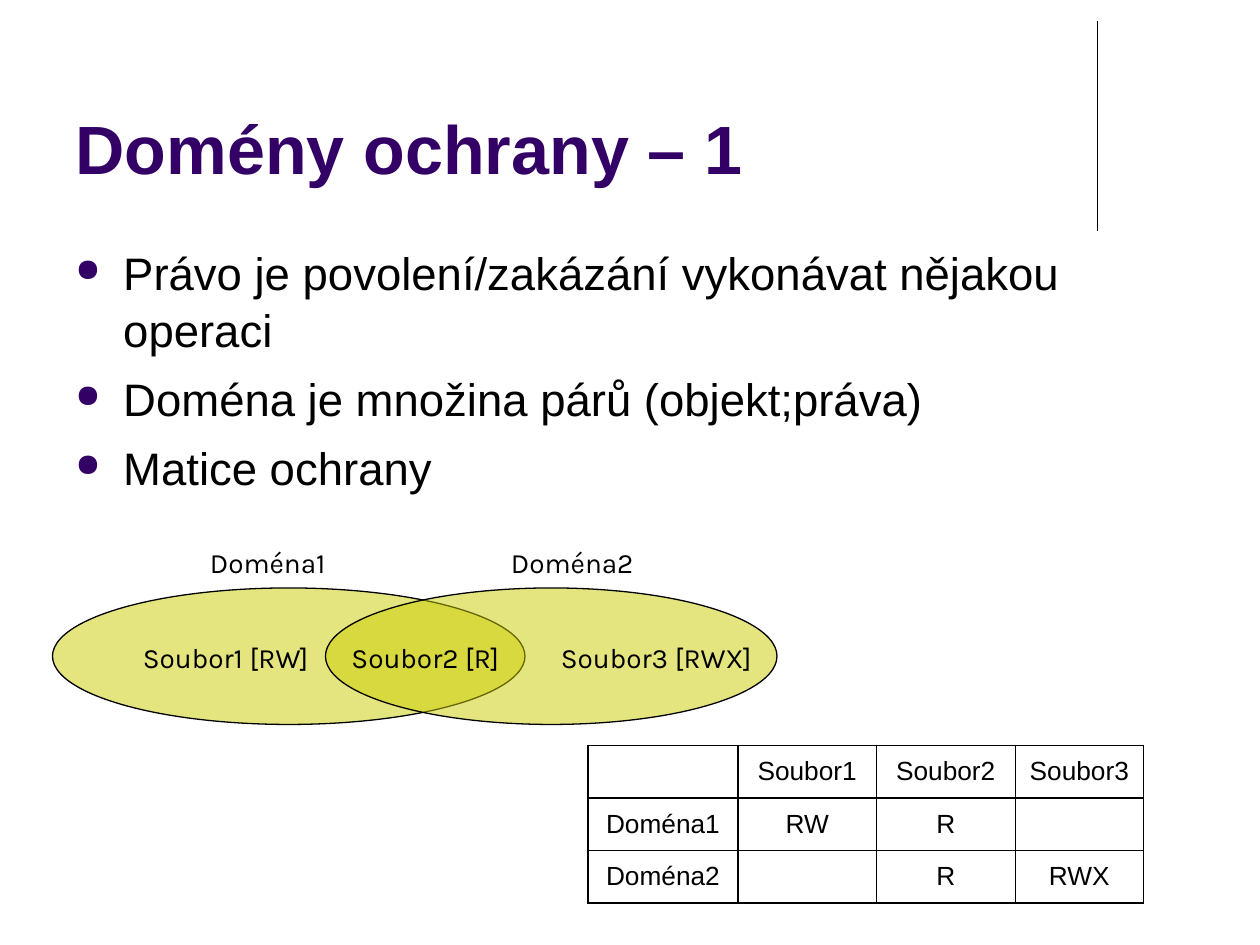
import pptx
import pptx.dml.color
import pptx.enum.shapes
import pptx.enum.text
import pptx.oxml
import pptx.oxml.ns
import pptx.util

COLORS = {"ink": "000000", "title": "330066", "domain": "CCCC00"}
COLUMNS, ROWS = 120, 90
ALIGN = pptx.enum.text.PP_ALIGN
ANCHOR = pptx.enum.text.MSO_ANCHOR
NS = pptx.oxml.ns.nsdecls("a")


def xml(text):
    return pptx.oxml.parse_xml(text)


def rgb(name):
    return pptx.dml.color.RGBColor.from_string(COLORS[name])


class ProtectionSlide:
    """Places elements on a grid of 120 columns by 90 rows."""

    def __init__(self, deck):
        self.column = deck.slide_width / COLUMNS
        self.row = deck.slide_height / ROWS
        self.slide = deck.slides.add_slide(deck.slide_layouts[5])
        self.shapes = self.slide.shapes

    def area(self, left, top, width, height):
        return (round(left * self.column), round(top * self.row),
                round(width * self.column), round(height * self.row))

    def add_span(self, para, text, size, font="Arial", color="ink", bold=False):
        span = para.add_run()
        span.text = text
        span.font.name = font
        span.font.size = pptx.util.Pt(size)
        span.font.bold = bold
        span.font.color.rgb = rgb(color)

    def title(self, text, *grid):
        box = self.shapes.title
        box.left, box.top, box.width, box.height = self.area(*grid)
        frame = box.text_frame
        frame.auto_size = pptx.enum.text.MSO_AUTO_SIZE.NONE
        frame.vertical_anchor = ANCHOR.BOTTOM
        para = frame.paragraphs[0]
        para.alignment = ALIGN.LEFT
        self.add_span(para, text, 39, color="title", bold=True)

    def bullets(self, items, *grid):
        frame = self.shapes.add_textbox(*self.area(*grid)).text_frame
        frame.word_wrap = True
        for index, item in enumerate(items):
            para = frame.add_paragraph() if index else frame.paragraphs[0]
            para.space_before = pptx.util.Pt(6.5)
            para.line_spacing = 1.05
            indent = pptx.util.Inches(0.38)
            properties = para._p.get_or_add_pPr()
            properties.set("marL", str(indent))
            properties.set("indent", str(-indent))
            for mark in (f'<a:buClr {NS}><a:srgbClr val="{COLORS["title"]}"/></a:buClr>',
                         f'<a:buSzPct {NS} val="70000"/>',
                         f'<a:buChar {NS} char="●"/>'):
                properties.append(xml(mark))
            self.add_span(para, item, 26)

    def domain(self, *grid):
        """Draws a half-transparent ellipse."""
        oval = self.shapes.add_shape(
            pptx.enum.shapes.MSO_SHAPE.OVAL, *self.area(*grid))
        oval.shadow.inherit = False
        oval.fill.solid()
        oval.fill.fore_color.rgb = rgb("domain")
        color = oval._element.spPr.find(".//" + pptx.oxml.ns.qn("a:srgbClr"))
        color.append(xml(f'<a:alpha {NS} val="50000"/>'))
        oval.line.color.rgb = rgb("ink")
        oval.line.width = pptx.util.Pt(0.75)

    def label(self, text, left, top, width):
        box = self.shapes.add_textbox(*self.area(left, top, width, 3.2))
        frame = box.text_frame
        frame.word_wrap = True
        frame.margin_left = frame.margin_right = 0
        frame.margin_top = frame.margin_bottom = 0
        para = frame.paragraphs[0]
        para.alignment = ALIGN.CENTER
        para.space_before = pptx.util.Pt(10)
        self.add_span(para, text, 16, font="Karla")

    def border(self, cell, side, thick):
        width = pptx.util.Pt(1.08 if thick else 0.45)
        cell._tc.get_or_add_tcPr().append(xml(
            f'<a:ln{side} {NS} w="{width}"><a:solidFill>'
            f'<a:srgbClr val="{COLORS["ink"]}"/></a:solidFill></a:ln{side}>'))

    def matrix(self, rows, widths, *grid):
        """Adds a table with thick outer and header rules, thin inner ones."""
        last_row, last_column = len(rows) - 1, len(widths) - 1
        table = self.shapes.add_table(
            len(rows), len(widths), *self.area(*grid)).table
        table.first_row = table.horz_banding = False
        for column, width in zip(table.columns, widths):
            column.width = pptx.util.Inches(width)
        for r, values in enumerate(rows):
            for c, value in enumerate(values):
                cell = table.cell(r, c)
                cell.vertical_anchor = ANCHOR.MIDDLE
                self.border(cell, "L", c <= 1)
                self.border(cell, "R", c in (0, last_column))
                self.border(cell, "T", r <= 1)
                self.border(cell, "B", r in (0, last_row))
                cell.fill.background()
                para = cell.text_frame.paragraphs[0]
                para.alignment = ALIGN.CENTER
                para.space_before = pptx.util.Pt(3.7)
                if value:
                    self.add_span(para, value, 15)

    def vertical_rule(self, left, top, bottom):
        x, y, _, height = self.area(left, top, 0, bottom - top)
        line = self.shapes.add_connector(
            pptx.enum.shapes.MSO_CONNECTOR.STRAIGHT, x, y, x, y + height)
        line.line.color.rgb = rgb("ink")
        line.line.width = pptx.util.Pt(0.75)
        line._element.spPr.append(xml(f"<a:effectLst {NS}/>"))


def main():
    deck = pptx.Presentation()
    deck.slide_width = pptx.util.Inches(10)
    deck.slide_height = pptx.util.Inches(7.5)
    page = ProtectionSlide(deck)
    page.title("Domény ochrany – 1", 6, 1.5, 99, 17)
    page.bullets(["Právo je povolení/zakázání vykonávat nějakou operaci",
                  "Doména je množina párů (objekt;práva)",
                  "Matice ochrany"], 6, 22.5, 108, 27.8)
    page.domain(5, 56, 45, 13)
    page.domain(31, 56, 43, 13)
    for label in (("Soubor1 [RW]", 13, 61, 17), ("Soubor3 [RWX]", 53, 61, 19),
                  ("Soubor2 [R]", 33, 61, 15), ("Doména1", 17, 52, 17),
                  ("Doména2", 46, 52, 17)):
        page.label(*label)
    page.matrix([["", "Soubor1", "Soubor2", "Soubor3"],
                 ["Doména1", "RW", "R", ""],
                 ["Doména2", "", "R", "RWX"]],
                [1.19, 1.1, 1.1, 1.02], 56, 71, 53, 15)
    page.vertical_rule(104.5, 2, 22)
    deck.save("out.pptx")


if __name__ == "__main__":
    main()
